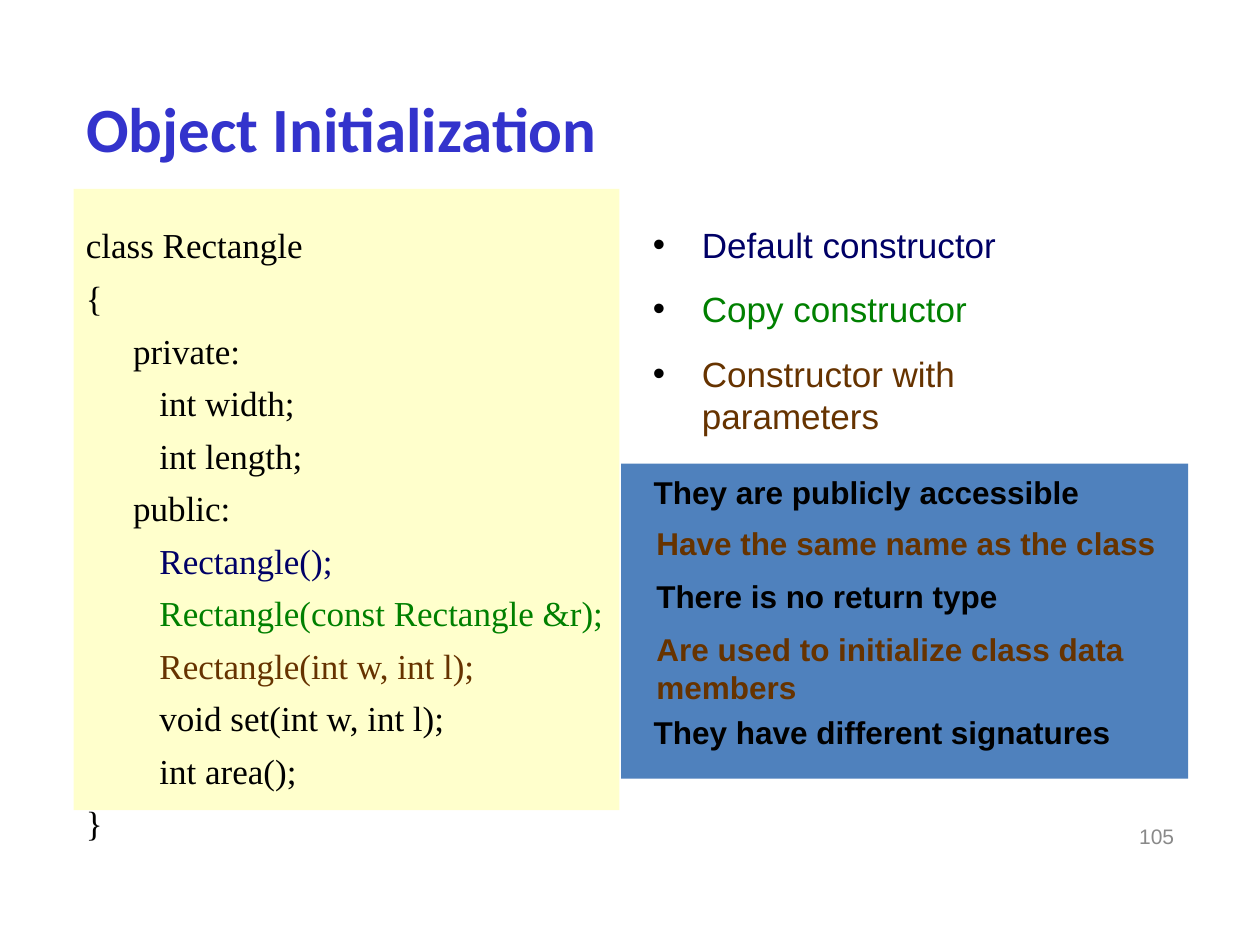
from dataclasses import dataclass

from lxml.etree import SubElement
from pptx import Presentation
from pptx.dml.color import RGBColor as Color
from pptx.enum.shapes import MSO_SHAPE as Shape
from pptx.enum.text import MSO_ANCHOR as Anchor, PP_ALIGN as Align
from pptx.oxml.ns import qn
from pptx.util import Pt


@dataclass(frozen=True)
class Theme:
    title: Color = Color(0x33, 0x33, 0xCC)
    text: Color = Color(0, 0, 0)
    navy: Color = Color(0, 0, 0x66)
    green: Color = Color(0, 0x80, 0)
    brown: Color = Color(0x66, 0x33, 0)
    muted: Color = Color(0x89, 0x89, 0x89)
    code_fill: Color = Color(0xFF, 0xFF, 0xCC)
    panel_fill: Color = Color(0x4F, 0x81, 0xBD)
    heading_font: str = "Calibri"
    body_font: str = "Arial"
    code_font: str = "Times New Roman"
    title_size: int = 36
    body_size: int = 20
    fact_size: int = 18
    number_size: int = 12


class SlideBuilder:
    def __init__(self, page, theme):
        self.page = page
        self.theme = theme

    def style(self, para, name, size, color, bold=False):
        font = para.font
        font.name, font.size, font.bold = name, Pt(size), bold
        font.color.rgb = color

    def hang(self, para, left, first):
        props = para._p.get_or_add_pPr()
        props.set("marL", str(Pt(left)))
        props.set("indent", str(Pt(first)))
        return props

    def paragraphs(self, frame, count):
        return [frame.paragraphs[0]] + [frame.add_paragraph() for _ in range(count - 1)]

    def title(self, text, left, top, width, height):
        box = self.page.shapes.title
        box.left, box.top, box.width, box.height = map(Pt, (left, top, width, height))
        frame = box.text_frame
        frame.text = text
        frame.vertical_anchor = Anchor.MIDDLE
        para = frame.paragraphs[0]
        para.alignment = Align.LEFT
        self.style(para, self.theme.heading_font, self.theme.title_size,
                   self.theme.title, True)

    def panel(self, shapes, fill, left, top, width, height):
        box = shapes.add_shape(Shape.RECTANGLE, *map(Pt, (left, top, width, height)))
        box.shadow.inherit = False
        box.fill.solid()
        box.fill.fore_color.rgb = fill
        box.line.fill.background()
        return box

    def code(self, lines, left, top, width, height):
        box = self.panel(self.page.shapes, self.theme.code_fill, left, top, width, height)
        frame = box.text_frame
        frame.word_wrap = True
        frame.vertical_anchor = Anchor.TOP
        frame.margin_top, frame.margin_right = Pt(20), 0
        paras = self.paragraphs(frame, len(lines))
        for index, (para, (text, indent, color)) in enumerate(zip(paras, lines)):
            para.text = text
            para.alignment = Align.LEFT
            para.space_before = Pt(6 if index else 0)
            self.hang(para, indent, 0)
            self.style(para, self.theme.code_font, self.theme.body_size, color)

    def text(self, shapes, lines, size, color, left, top, width, height,
             bold=False, align=Align.LEFT):
        box = shapes.add_textbox(*map(Pt, (left, top, width, height)))
        frame = box.text_frame
        frame.word_wrap = True
        paras = self.paragraphs(frame, len(lines))
        for para, line in zip(paras, lines):
            para.text = line
            para.alignment = align
            self.style(para, self.theme.body_font, size, color, bold)
        return paras

    def bullets(self, items, left, top, width, height):
        lines = [text for text, _ in items]
        paras = self.text(self.page.shapes, lines, self.theme.body_size,
                          self.theme.text, left, top, width, height)
        for index, (para, (_, color)) in enumerate(zip(paras, items)):
            para.space_before = Pt(13 if index else 0)
            props = self.hang(para, 28, -28)
            tint = SubElement(props, qn("a:buClr"))
            SubElement(tint, qn("a:srgbClr")).set("val", str(self.theme.text))
            SubElement(props, qn("a:buFont")).set("typeface", self.theme.body_font)
            SubElement(props, qn("a:buChar")).set("char", "•")
            props.append(props.find(qn("a:defRPr")))
            para.font.color.rgb = color

    def facts(self, rows, left, top, width, height):
        group = self.page.shapes.add_group_shape()
        self.panel(group.shapes, self.theme.panel_fill, left, top, width, height)
        for lines, color, x, y in rows:
            self.text(group.shapes, lines, self.theme.fact_size, color,
                      x, y, 310, 7 + 22 * len(lines), bold=True)


def main():
    deck = Presentation()
    deck.slide_width, deck.slide_height = Pt(720), Pt(540)
    theme = Theme()
    page = deck.slides.add_slide(deck.slide_layouts[5])
    builder = SlideBuilder(page, theme)

    builder.text(page.shapes, ["105"], theme.number_size, theme.muted,
                 510, 467, 168, 29, align=Align.RIGHT)
    builder.code([
        ("class Rectangle", 0, theme.text),
        ("{", 0, theme.text),
        ("private:", 27, theme.text),
        ("   int width;", 27, theme.text),
        ("   int length;", 27, theme.text),
        ("public:", 27, theme.text),
        ("   Rectangle();", 27, theme.navy),
        ("   Rectangle(const Rectangle &r);", 27, theme.green),
        ("   Rectangle(int w, int l);", 27, theme.brown),
        ("   void set(int w, int l);", 27, theme.text),
        ("   int area();", 27, theme.text),
        ("}", 0, theme.text),
    ], 42, 108, 312, 355)
    builder.title("Object Initialization", 42, 45, 648, 56)
    builder.bullets([
        ("Default constructor", theme.navy),
        ("Copy constructor", theme.green),
        ("Constructor with parameters", theme.brown),
    ], 366, 124, 284, 127)
    builder.facts([
        (["They are publicly accessible"], theme.text, 366.5, 267),
        (["Have the same name as the class"], theme.brown, 368, 296),
        (["There is no return type"], theme.text, 368, 326),
        (["Are used to initialize class data", "members"], theme.brown, 368, 356.5),
        (["They have different signatures"], theme.text, 366.5, 404),
    ], 355, 265, 324, 180)

    deck.save("out.pptx")


if __name__ == "__main__":
    main()
